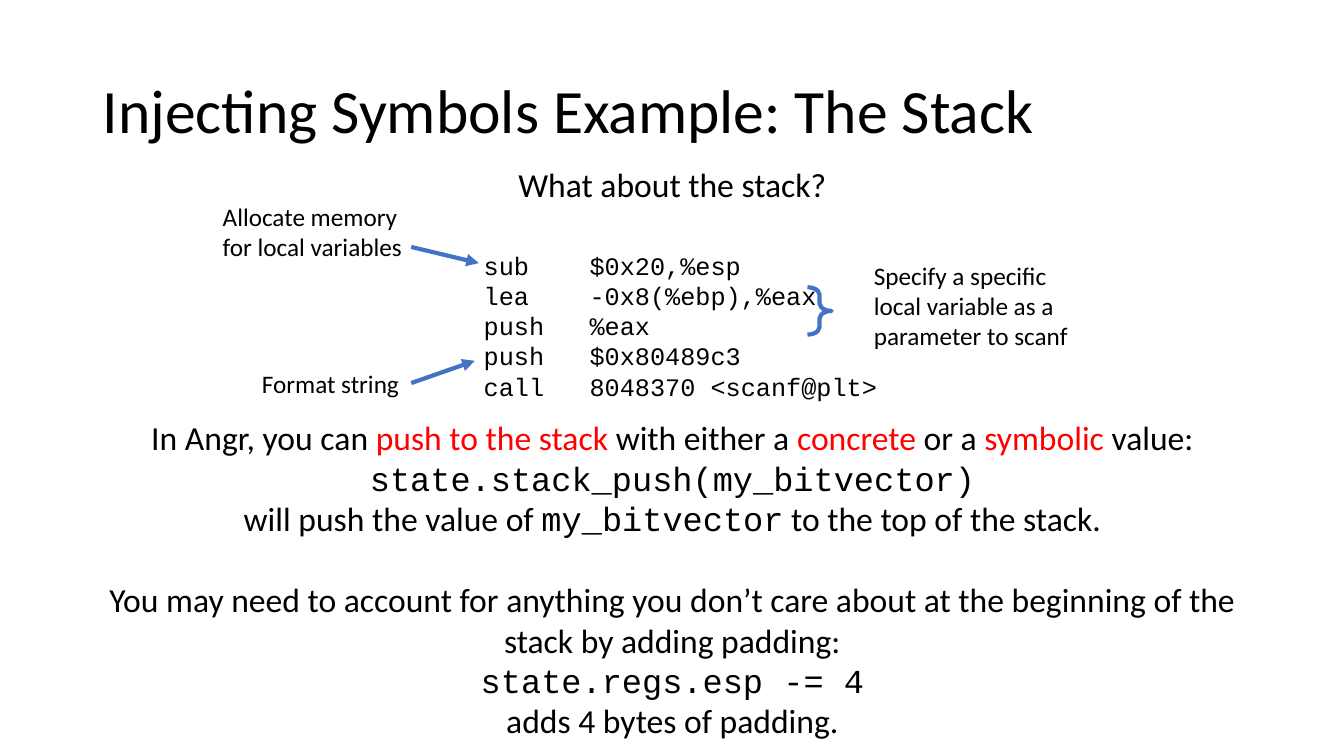
from lxml import etree
from pptx import Presentation
from pptx.dml.color import RGBColor
from pptx.enum.shapes import MSO_CONNECTOR, MSO_SHAPE
from pptx.enum.text import MSO_ANCHOR, PP_ALIGN
from pptx.oxml.ns import qn
from pptx.util import Inches, Pt

BLACK = RGBColor(0x00, 0x00, 0x00)
RED = RGBColor(0xFF, 0x00, 0x00)
BLUE = RGBColor(0x44, 0x72, 0xC4)
SANS, MONO = "Calibri", "Courier New"
LEFT, CENTER = PP_ALIGN.LEFT, PP_ALIGN.CENTER
MIDDLE = MSO_ANCHOR.MIDDLE
STRAIGHT, BRACE = MSO_CONNECTOR.STRAIGHT, MSO_SHAPE.RIGHT_BRACE
MARGIN, CONTENT = 6.9, 86.25
ARROW_START = 30.6


class StackSlide:
    """Draws styled elements on one slide, with lengths in percent of its size."""

    def __init__(self, prs):
        self.w, self.h = prs.slide_width, prs.slide_height
        self.slide = prs.slides.add_slide(prs.slide_layouts[5])
        self.shapes = self.slide.shapes

    def x(self, share):
        return round(self.w * share / 100)

    def y(self, share):
        return round(self.h * share / 100)

    def box(self, left, top, width, height):
        return self.x(left), self.y(top), self.x(width), self.y(height)

    def style(self, r, size, font=SANS, color=BLACK):
        r.font.size = Pt(size)
        r.font.name = font
        r.font.color.rgb = color

    def title(self, text, *place):
        s = self.shapes.title
        s.left, s.top, s.width, s.height = self.box(*place)
        tf = s.text_frame
        tf.text = text
        tf.vertical_anchor = MIDDLE
        p = tf.paragraphs[0]
        p.alignment, p.line_spacing = LEFT, 0.9
        self.style(p.runs[0], 44)

    def text(self, paragraphs, *place, size=18, align=LEFT, wrap=True):
        tf = self.shapes.add_textbox(*self.box(*place)).text_frame
        tf.word_wrap = wrap
        for i, pieces in enumerate(paragraphs):
            p = tf.add_paragraph() if i else tf.paragraphs[0]
            p.alignment = align
            for text, *look in pieces:
                r = p.add_run()
                r.text = text
                self.style(r, size, *look)
        return tf

    def code(self, lines, *place):
        tf = self.text([[(line, MONO)] for line in lines], *place)
        for p in tf.paragraphs:
            tabs = etree.SubElement(p._p.get_or_add_pPr(), qn("a:tabLst"))
            etree.SubElement(tabs, qn("a:tab"), pos=str(Inches(1.05)), algn="l")

    def arrow(self, x1, y1, x2, y2):
        s = self.shapes.add_connector(
            STRAIGHT, self.x(x1), self.y(y1), self.x(x2), self.y(y2))
        s.line.color.rgb, s.line.width = BLUE, Pt(3)
        etree.SubElement(s.line._get_or_add_ln(), qn("a:tailEnd"), type="triangle")
        etree.SubElement(s._element.spPr, qn("a:effectLst"))

    def brace(self, *place):
        s = self.shapes.add_shape(BRACE, *self.box(*place))
        s.adjustments[0], s.adjustments[1] = 0.31, 0.5
        s.shadow.inherit = False
        s.fill.background()
        s.line.color.rgb, s.line.width = BLUE, Pt(3)


def main():
    prs = Presentation()
    prs.slide_width, prs.slide_height = Inches(13.33), Inches(7.5)
    s = StackSlide(prs)

    s.title("Injecting Symbols Example: The Stack", MARGIN, 5.33, CONTENT, 19.33)
    s.code(["sub\t$0x20,%esp", "lea\t-0x8(%ebp),%eax", "push\t%eax",
            "push\t$0x80489c3", "call\t8048370 <scanf@plt>"],
           35.25, 32.4, 32.25, 21.6)
    s.text([[("Allocate memory for local variables",)]], 15.83, 26, 16.43, 9.47)
    s.text([[("Specify a specific local variable as a parameter to scanf",)]],
           64.28, 33.73, 18.23, 13.47)
    s.text([[("Format string",)]], 18.75, 48, 11.85, 5.33, wrap=False)
    s.arrow(ARROW_START, 32.67, 35.63, 34.8)
    s.arrow(ARROW_START, 50.67, 35.33, 47.73)
    s.brace(60.08, 38, 1.8, 6.27)
    s.text([[("What about the stack?",)]], MARGIN, 21.07, CONTENT, 6.67,
           size=24, align=CENTER)
    tf = s.text([
        [("In Angr, you can ",), ("push to the stack ", SANS, RED),
         ("with either a ",), ("concrete", SANS, RED), (" or a ",),
         ("symbolic", SANS, RED), (" value:",)],
        [("state.stack_push(my_bitvector)", MONO)],
        [("will push the value of ",), ("my_bitvector", MONO),
         (" to the top of the stack.",)],
        [("You may need to account for anything you don’t care about at the "
          "beginning of the stack by adding padding:",)],
        [("state.regs.esp -= 4", MONO)],
        [("adds 4 bytes of padding.",)],
    ], MARGIN, 54.53, CONTENT, 44.4, size=24, align=CENTER)
    tf.paragraphs[3].space_before = Pt(29.3)

    prs.save("out.pptx")


if __name__ == "__main__":
    main()
